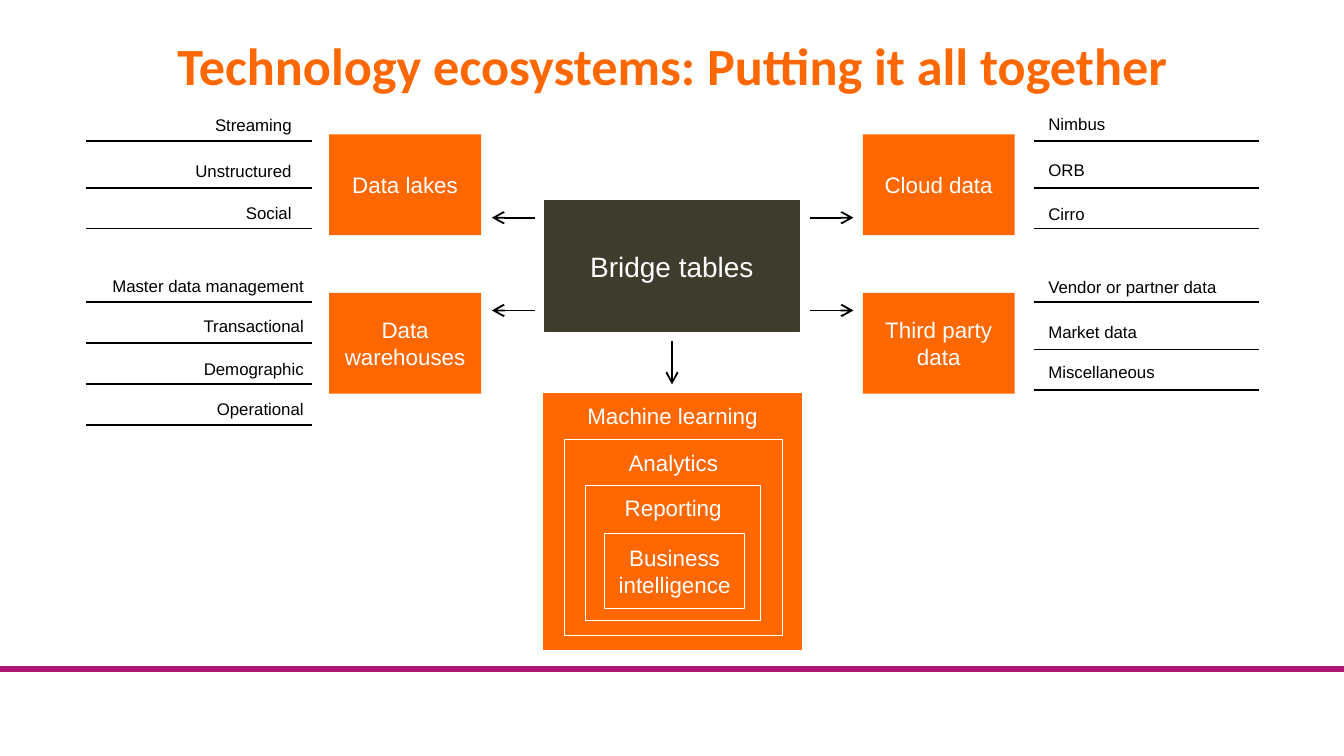
"""Build the technology ecosystems slide."""
from dataclasses import dataclass

from lxml import etree
from pptx import Presentation
from pptx import util as u
from pptx.dml.color import RGBColor
from pptx.enum import shapes, text
from pptx.oxml.ns import qn

PX = u.Inches(1) // 100
ALIGN = text.PP_ALIGN
ANCHOR = text.MSO_ANCHOR


@dataclass(frozen=True)
class Theme:
    """Colours, fonts and sizes of the slide."""
    orange: str = "FF6700"
    dark: str = "3E3D2D"
    purple: str = "AF1775"
    black: str = "000000"
    white: str = "FFFFFF"
    body_font: str = "Arial"
    title_font: str = "Calibri"
    title_size: int = 28
    hub_size: int = 15
    box_size: int = 12
    label_size: int = 9
    outline: float = 0.6
    rule: int = 1
    footer_rule: int = 3


THEME = Theme()

SOURCES = [
    ("Data lakes", 245, 100), ("Data warehouses", 245, 218),
    ("Cloud data", 642, 100), ("Third party data", 642, 218),
]
LEFT_UPPER = [
    ("Streaming", 74, 85, 16, 105),
    ("Unstructured", 86, 115, 24, 140),
    ("Social", 74, 150, 16, 170),
]
LEFT_LOWER = [
    ("Master data management", 162, 202, 21, 225),
    ("Transactional", 169, 232, 21, 255),
    ("Demographic", 100, 264, 21, 286),
    ("Operational", 100, 296, 16, 316),
]
RIGHT = [
    ("Nimbus", 72, 81, 23, 105),
    ("ORB", 121, 115, 23, 140),
    ("Cirro", 104, 150, 18, 170),
    ("Vendor or partner data", 164, 204, 18, 225),
    ("Market data", 153, 238, 18, 260),
    ("Miscellaneous", 106, 267, 19, 290),
]
ARROWS = [
    (398, 162, 366, 162), (398, 231, 366, 231),
    (603, 162, 635, 162), (603, 231, 635, 231),
    (500, 254, 500, 286),
]
LAYERS = [
    ("Machine learning", (404, 292, 193, 192)),
    ("Analytics", (420, 327, 162, 146)),
    ("Reporting", (436, 361, 130, 101)),
]


def px(*lengths):
    """Turn px lengths into EMU."""
    return [u.Emu(length * PX) for length in lengths]


def colour(value):
    """Return a colour object for a hex value."""
    return RGBColor.from_string(value)


def write(shape, words, *, size, ink=THEME.white, font=THEME.body_font, bold=False,
          align=ALIGN.CENTER, anchor=ANCHOR.MIDDLE, insets=(7, 4, 7, 4), spacing=None):
    """Fill a shape with one formatted paragraph per line of words."""
    frame = shape.text_frame
    frame.word_wrap = True
    frame.auto_size = text.MSO_AUTO_SIZE.NONE
    frame.vertical_anchor = anchor
    (frame.margin_left, frame.margin_top,
     frame.margin_right, frame.margin_bottom) = px(*insets)
    frame.text = words
    for para in frame.paragraphs:
        para.alignment = align
        para.line_spacing = spacing
        for span in para.runs:
            span.font.name = font
            span.font.size = u.Pt(size)
            span.font.bold = bold
            span.font.color.rgb = colour(ink)


def add_box(page, words, place, *, fill=THEME.orange, outline=None,
            size=THEME.box_size, **style):
    """Add a filled rectangle with text."""
    box = page.shapes.add_shape(shapes.MSO_SHAPE.RECTANGLE, *px(*place))
    box.shadow.inherit = False
    box.fill.solid()
    box.fill.fore_color.rgb = colour(fill)
    if outline:
        box.line.color.rgb = colour(outline)
        box.line.width = u.Pt(THEME.outline)
    else:
        box.line.fill.background()
    write(box, words, size=size, **style)


def add_line(page, ends, *, ink=THEME.black, width=THEME.rule, arrow=False):
    """Add a straight line, with an arrowhead at its end if asked."""
    line = page.shapes.add_connector(shapes.MSO_CONNECTOR.STRAIGHT, *px(*ends))
    line.line.color.rgb = colour(ink)
    line.line.width = u.Pt(width)
    if arrow:
        outline = line._element.spPr.find(qn("a:ln"))
        etree.SubElement(outline, qn("a:tailEnd"), type="arrow")
    etree.SubElement(line._element.spPr, qn("a:effectLst"))


def add_labels(page, rows, rule_left, edge, align):
    """Add labels aligned to an edge, each above its rule."""
    for words, width, top, height, rule in rows:
        left = edge - width if align == ALIGN.RIGHT else edge
        add_line(page, (rule_left, rule, rule_left + 168, rule))
        label = page.shapes.add_textbox(*px(left, top, width, height))
        write(label, words, size=THEME.label_size, ink=THEME.black,
              align=align, insets=(2, 1, 2, 1))


def add_title(page, words):
    """Place and format the title."""
    title = page.shapes.title
    title.left, title.top, title.width, title.height = px(69, 13, 862, 76)
    write(title, words, size=THEME.title_size, ink=THEME.orange,
          font=THEME.title_font, bold=True, insets=(10, 5, 10, 5), spacing=0.9)


def main():
    """Build and save the deck."""
    deck = Presentation()
    deck.slide_width = u.Emu(1000 * PX)
    deck.slide_height = u.Emu(deck.slide_width * 9 // 16)
    page = deck.slides.add_slide(deck.slide_layouts[5])
    add_title(page, "Technology ecosystems: Putting it all together")
    add_line(page, (0, 498, 1000, 498), ink=THEME.purple, width=THEME.footer_rule)
    add_labels(page, LEFT_UPPER, 64, 219, ALIGN.RIGHT)
    add_labels(page, LEFT_LOWER, 64, 228, ALIGN.RIGHT)
    add_labels(page, RIGHT, 769, 778, ALIGN.LEFT)
    for ends in ARROWS:
        add_line(page, ends, arrow=True)
    add_box(page, "Bridge tables", (405, 149, 190, 98), fill=THEME.dark,
            outline=THEME.dark, size=THEME.hub_size)
    for words, left, top in SOURCES:
        add_box(page, words, (left, top, 113, 75))
    for words, place in LAYERS:
        add_box(page, words, place, outline=THEME.white,
                anchor=ANCHOR.TOP, insets=(7, 7, 7, 4))
    add_box(page, "Business\nintelligence", (450, 397, 104, 56),
            outline=THEME.white, insets=(0, 4, 0, 4))
    deck.save("out.pptx")


if __name__ == "__main__":
    main()
